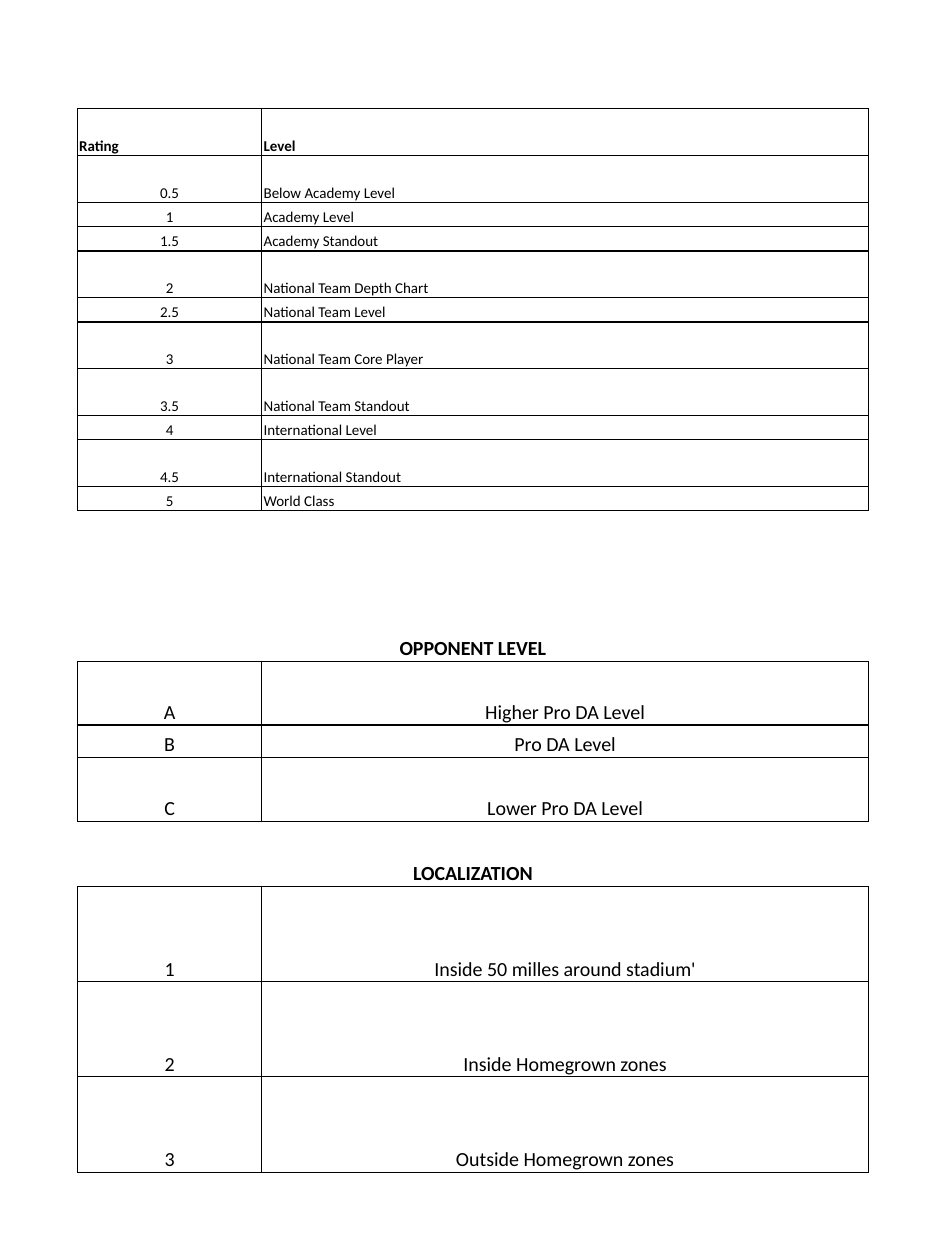
from pptx import Presentation
from pptx.dml.color import RGBColor
from pptx.enum.text import MSO_ANCHOR, PP_ALIGN
from pptx.oxml.ns import qn
from pptx.util import Inches, Pt
from lxml import etree

BOTTOM = MSO_ANCHOR.BOTTOM
LEFT, CENTER = PP_ALIGN.LEFT, PP_ALIGN.CENTER
COLORS = {"paper": "FFFFFF", "ink": "000000"}
COLUMNS = [2.05, 1.64, 1.64, 3.46]
SHORT, TALL = 0.27, 0.52
LINE, DEEP, ZONE = 0.36, 0.71, 1.06

LEVELS = [
    (TALL, "0.5", "Below Academy Level"),
    (SHORT, "1", "Academy Level"),
    (SHORT, "1.5", "Academy Standout"),
    (TALL, "2", "National Team Depth Chart"),
    (SHORT, "2.5", "National Team Level"),
    (TALL, "3", "National Team Core Player"),
    (TALL, "3.5", "National Team Standout"),
    (SHORT, "4", "International Level"),
    (TALL, "4.5", "International Standout"),
    (SHORT, "5", "World Class"),
]
OPPONENTS = [
    (DEEP, "A", "Higher Pro DA Level"),
    (LINE, "B", "Pro DA Level"),
    (DEEP, "C", "Lower Pro DA Level"),
]
ZONES = [
    (ZONE, "1", "Inside 50 milles around stadium'"),
    (ZONE, "2", "Inside Homegrown zones"),
    (ZONE, "3", "Outside Homegrown zones"),
]


def pairs(entries, size, align):
    return [(height, [key, label], size, False, [CENTER, align])
            for height, key, label in entries]


def title(text):
    return (LINE, [text], 16, True, [CENTER])


def gap(height):
    return (height, [], 12, False, [])


ROWS = [
    title(""),
    (TALL, ["Rating", "Level"], 12, True, [LEFT, LEFT]),
    *pairs(LEVELS, 12, LEFT),
    gap(LINE), gap(LINE), gap(0.59),
    title("OPPONENT LEVEL"),
    *pairs(OPPONENTS, 16, CENTER),
    gap(LINE),
    title("LOCALIZATION"),
    *pairs(ZONES, 16, CENTER),
]


class RatingSheet:
    """Holds the table style and the slide being filled."""

    def __init__(self, page, font="Calibri"):
        self.page = page
        self.font = font

    def border(self, cell, sides):
        properties = cell._tc.get_or_add_tcPr()
        for side in "LRTB":
            line = etree.SubElement(properties, qn(f"a:ln{side}"), w=str(Pt(1)))
            if side in sides:
                fill = etree.SubElement(line, qn("a:solidFill"))
                etree.SubElement(fill, qn("a:srgbClr"), val=COLORS["ink"])
            else:
                etree.SubElement(line, qn("a:noFill"))

    def cell(self, cell, sides):
        self.border(cell, sides)
        cell.fill.solid()
        cell.fill.fore_color.rgb = RGBColor.from_string(COLORS["paper"])
        cell.vertical_anchor = BOTTOM
        cell.margin_left = cell.margin_right = Inches(0.02)
        cell.margin_top = cell.margin_bottom = 0

    def text(self, cell, text, size, bold, align):
        para = cell.text_frame.paragraphs[0]
        para.text = text
        para.alignment = align
        para.font.size = Pt(size)
        for span in para.runs:
            span.font.name = self.font
            span.font.size = Pt(size)
            span.font.bold = bold
            span.font.color.rgb = RGBColor.from_string(COLORS["ink"])

    def table(self, left, top, columns, rows):
        height = sum(row[0] for row in rows)
        frame = self.page.shapes.add_table(
            len(rows), len(columns), Inches(left), Inches(top),
            Inches(sum(columns)), Inches(height))
        table = frame.table
        table.first_row = table.horz_banding = False
        for column, width in zip(table.columns, columns):
            column.width = Inches(width)
        boxed = [len(row[1]) == 2 for row in rows] + [False]
        last = len(columns) - 1
        for index, (height, texts, size, bold, aligns) in enumerate(rows):
            table.rows[index].height = Inches(height)
            sides = "LR" if boxed[index] else ""
            if boxed[index] or boxed[index - 1]:
                sides += "T"
            if boxed[index] or boxed[index + 1]:
                sides += "B"
            for column in range(len(columns)):
                self.cell(table.cell(index, column), sides)
            for column, text in enumerate(texts):
                self.text(table.cell(index, column), text, size, bold, aligns[column])
            if texts:
                start = len(texts) - 1
                table.cell(index, start).merge(table.cell(index, last))


deck = Presentation()
deck.slide_width, deck.slide_height = Inches(10.5), Inches(14)
page = deck.slides.add_slide(deck.slide_layouts[6])
RatingSheet(page).table(0.86, 0.85, COLUMNS, ROWS)
deck.save("out.pptx")
